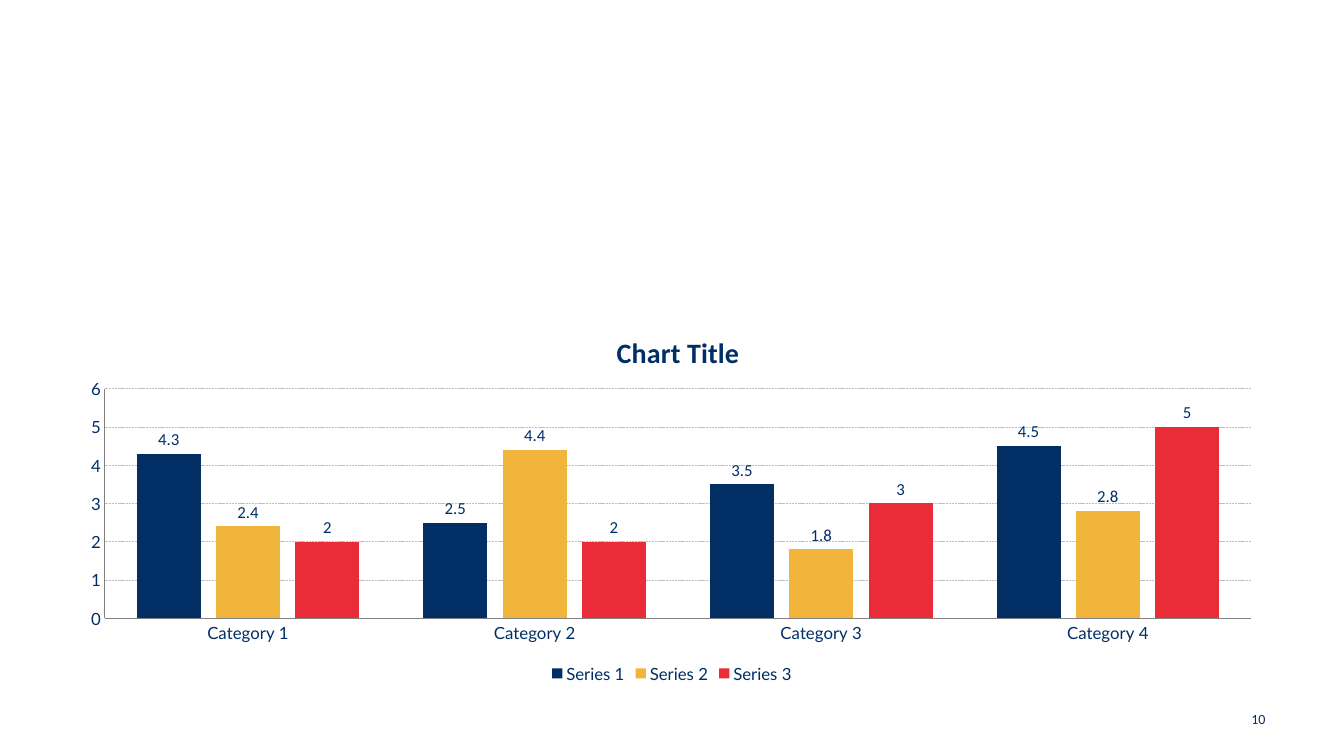
from pptx import Presentation, util as u
from pptx.chart.data import CategoryChartData
from pptx.dml.color import RGBColor
from pptx.enum import chart as charts, dml, text
from pptx.oxml import parse_xml
from pptx.oxml.ns import nsdecls

NAVY = RGBColor(0x00, 0x2E, 0x65)
GOLD = RGBColor(0xF1, 0xB5, 0x3C)
RED = RGBColor(0xEA, 0x2C, 0x38)
AXIS_GRAY = RGBColor(0x80, 0x80, 0x80)
GRID_GRAY = RGBColor(0xBF, 0xBF, 0xBF)

CATEGORIES = [f"Category {number}" for number in range(1, 5)]
SERIES = [
    ("Series 1", (4.3, 2.5, 3.5, 4.5), NAVY),
    ("Series 2", (2.4, 4.4, 1.8, 2.8), GOLD),
    ("Series 3", (2, 2, 3, 5), RED),
]


def set_attributes(target, values):
    """Set every named value on the target."""
    for name, value in values.items():
        setattr(target, name, value)


def format_font(font, size, name="Calibri", bold=False):
    """Give a font its size, typeface, weight and the navy colour."""
    set_attributes(font, {"size": u.Pt(size), "name": name, "bold": bold})
    font.color.rgb = NAVY


def format_line(line, color):
    """Draw a thin line in the given colour."""
    line.color.rgb = color
    line.width = u.Pt(0.5)


def place_part(element, index, fractions, target=""):
    """Place a chart part at fractions of the chart's box."""
    for layout in element.xpath("c:layout"):
        element.remove(layout)
    modes = "".join(f'<c:{axis}Mode val="edge"/>' for axis in "xy")
    sizes = "".join(f'<c:{key} val="{value}"/>' for key, value in fractions.items())
    element.insert(index, parse_xml(
        f'<c:layout {nsdecls("c")}><c:manualLayout>{target}{modes}{sizes}'
        '</c:manualLayout></c:layout>'))


def format_axes(chart):
    """Style both axes and the dashed value gridlines."""
    for axis in (chart.category_axis, chart.value_axis):
        set_attributes(axis, {
            "major_tick_mark": charts.XL_TICK_MARK.NONE,
            "minor_tick_mark": charts.XL_TICK_MARK.NONE,
        })
        format_font(axis.tick_labels.font, 12, "Lato")
        format_line(axis.format.line, AXIS_GRAY)
    set_attributes(chart.value_axis, {
        "minimum_scale": 0, "maximum_scale": 6, "major_unit": 1,
        "has_major_gridlines": True,
    })
    grid_line = chart.value_axis.major_gridlines.format.line
    format_line(grid_line, GRID_GRAY)
    grid_line.dash_style = dml.MSO_LINE.SQUARE_DOT


def format_series(plot):
    """Colour the columns and label them with their values."""
    set_attributes(plot, {"gap_width": 100, "overlap": -24, "vary_by_categories": False})
    for series, (_, _, color) in zip(plot.series, SERIES):
        series.format.fill.solid()
        series.format.fill.fore_color.rgb = color
        series.invert_if_negative = False
        set_attributes(series.data_labels, {
            "show_value": True,
            "position": charts.XL_LABEL_POSITION.OUTSIDE_END,
        })
        format_font(series.data_labels.font, 12)


def add_column_chart(slide, left, top, width, height):
    """Add the clustered column chart with its title and legend."""
    data = CategoryChartData()
    data.categories = CATEGORIES
    for name, values, _ in SERIES:
        data.add_series(name, values)
    chart = slide.shapes.add_chart(
        charts.XL_CHART_TYPE.COLUMN_CLUSTERED,
        *map(u.Pt, (left, top, width, height)), data).chart
    format_font(chart.font, 10, "Lato")

    chart.has_title = True
    title = chart.chart_title
    title.text_frame.text = "Chart Title"
    format_font(title.text_frame.paragraphs[0].runs[0].font, 20, bold=True)
    title.include_in_layout = False

    chart.has_legend = True
    set_attributes(chart.legend, {
        "position": charts.XL_LEGEND_POSITION.BOTTOM,
        "include_in_layout": False,
    })
    format_font(chart.legend.font, 12, "Lato")

    format_axes(chart)
    format_series(chart.plots[0])
    place_part(chart.element.xpath("c:chart/c:title")[0], 1, {"x": 0.45, "y": 0.06})
    place_part(chart.element.xpath("c:chart/c:plotArea")[0], 0,
               {"x": 0.03, "y": 0.22, "w": 0.95, "h": 0.6},
               '<c:layoutTarget val="inner"/>')


def add_page_number(slide, left, top, width, height):
    """Add the right-aligned page number."""
    box = slide.shapes.add_textbox(*map(u.Pt, (left, top, width, height)))
    set_attributes(box.text_frame, {
        "word_wrap": True, "vertical_anchor": text.MSO_ANCHOR.MIDDLE,
    })
    paragraph = box.text_frame.paragraphs[0]
    paragraph.alignment = text.PP_ALIGN.RIGHT
    run = paragraph.add_run()
    run.text = "10"
    format_font(run.font, 10)


presentation = Presentation()
set_attributes(presentation, {"slide_width": u.Pt(960), "slide_height": u.Pt(540)})
slide = presentation.slides.add_slide(presentation.slide_layouts[6])
add_page_number(slide, 703, 499, 208, 29)
add_column_chart(slide, 49, 217.5, 862, 273.5)
presentation.save("out.pptx")
